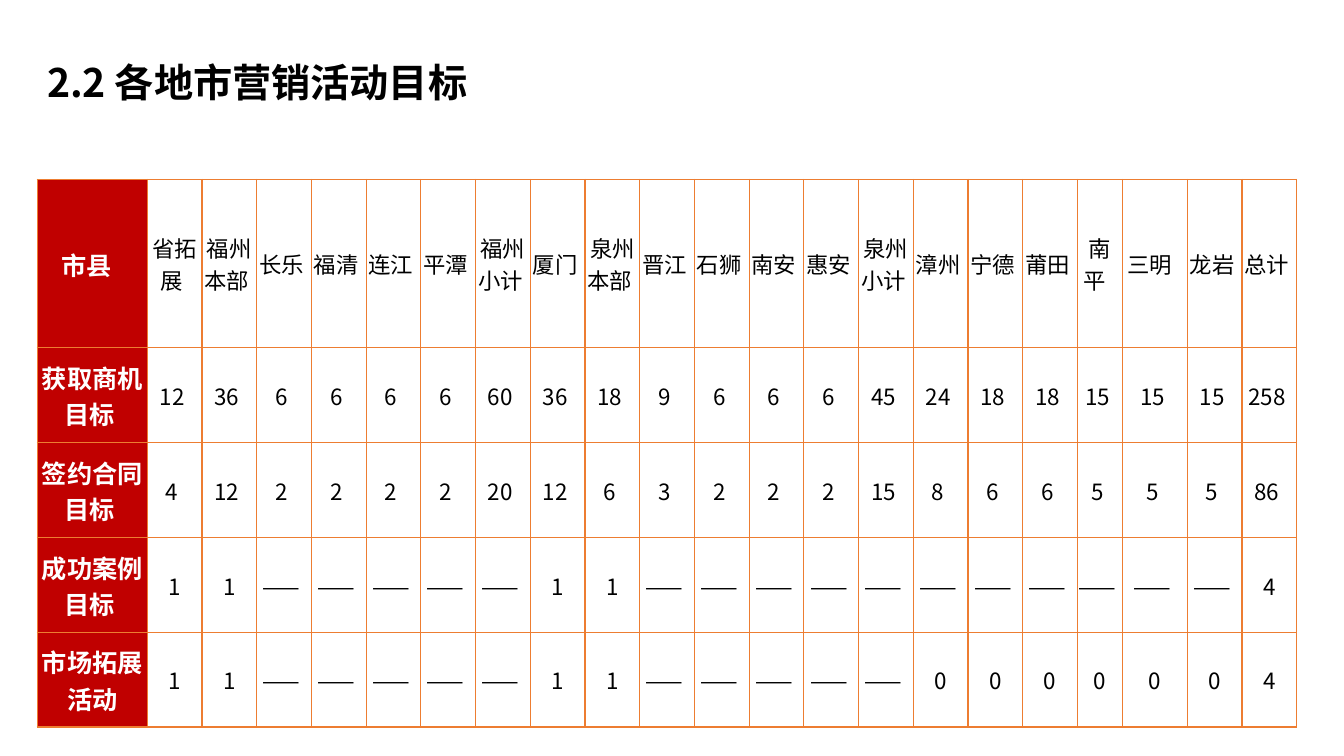
import pptx
import pptx.dml.color
import pptx.enum.text
import pptx.oxml
import pptx.oxml.ns
import pptx.util
from pptx.util import Cm

COLORS = {"label": "C00000", "border": "ED7D31", "light": "FFFFFF", "text": "000000"}
FONT = "Noto Sans CJK SC"
DASH = "——"

CITIES = ("省拓展 福州本部 长乐 福清 连江 平潭 福州小计 厦门 泉州本部 晋江 石狮 "
          "南安 惠安 泉州小计 漳州 宁德 莆田 南平 三明 龙岩 总计").split()
TARGETS = {
    "获取商机目标": [12, 36, 6, 6, 6, 6, 60, 36, 18, 9, 6, 6, 6, 45, 24, 18, 18, 15, 15, 15, 258],
    "签约合同目标": [4, 12, 2, 2, 2, 2, 20, 12, 6, 3, 2, 2, 2, 15, 8, 6, 6, 5, 5, 5, 86],
    "成功案例目标": [1, 1] + [DASH] * 5 + [1, 1] + [DASH] * 11 + [4],
    "市场拓展活动": [1, 1] + [DASH] * 5 + [1, 1] + [DASH] * 5 + [0] * 6 + [4],
}
LABEL_WIDTH, CITY_WIDTH = 2.77, 1.38
SPECIAL_WIDTHS = {"南平": 1.14, "三明": 1.63}
HEADER_HEIGHT, TARGET_HEIGHT = 4.24, 2.39


def rgb(name):
    return pptx.dml.color.RGBColor.from_string(COLORS[name])


def style_runs(paragraph, size, color, bold):
    for run in paragraph.runs:
        run.font.name = FONT
        run.font.size = pptx.util.Pt(size)
        run.font.bold = bold
        run.font.color.rgb = rgb(color)
        east_asian = pptx.oxml.parse_xml(
            f'<a:ea {pptx.oxml.ns.nsdecls("a")} typeface="{FONT}"/>')
        run.font._element.find(pptx.oxml.ns.qn("a:latin")).addnext(east_asian)


def add_borders(cell):
    properties = cell._tc.get_or_add_tcPr()
    for position, side in enumerate(("lnL", "lnR", "lnT", "lnB")):
        properties.insert(position, pptx.oxml.parse_xml(
            f'<a:{side} {pptx.oxml.ns.nsdecls("a")} w="12700"><a:solidFill>'
            f'<a:srgbClr val="{COLORS["border"]}"/></a:solidFill></a:{side}>'))


def fill_cell(cell, text, is_label):
    cell.text_frame.text = text
    cell.vertical_anchor = pptx.enum.text.MSO_ANCHOR.MIDDLE
    cell.margin_left = cell.margin_right = cell.margin_top = Cm(0.03)
    cell.margin_bottom = 0
    paragraph = cell.text_frame.paragraphs[0]
    paragraph.alignment = pptx.enum.text.PP_ALIGN.CENTER
    if is_label:
        cell.fill.solid()
        cell.fill.fore_color.rgb = rgb("label")
        style_runs(paragraph, 18, "light", True)
    else:
        cell.fill.background()
        style_runs(paragraph, 16, "text", False)
    add_borders(cell)


def target_rows():
    """Return all table texts, with the trailing spaces that offset centred text."""
    rows = [[f"{name} " if name == "省拓展" else f"{name}  " for name in ["市县"] + CITIES]]
    for label, values in TARGETS.items():
        numbers_padded = DASH not in values
        rows.append([label if label == "市场拓展活动" else f"{label} "] + [
            f"{value} " if numbers_padded or value == DASH else str(value)
            for value in values])
    return rows


def add_target_table(slide):
    rows = target_rows()
    widths = [LABEL_WIDTH] + [SPECIAL_WIDTHS.get(city, CITY_WIDTH) for city in CITIES]
    heights = [HEADER_HEIGHT] + [TARGET_HEIGHT] * len(TARGETS)
    targets = slide.shapes.add_table(len(rows), len(widths), Cm(0.94), Cm(4.52),
                                     Cm(sum(widths)), Cm(sum(heights))).table
    targets.first_row = targets.horz_banding = False
    for column, width in zip(targets.columns, widths):
        column.width = Cm(width)
    for row, height in zip(targets.rows, heights):
        row.height = Cm(height)
    for row_index, texts in enumerate(rows):
        for column_index, text in enumerate(texts):
            fill_cell(targets.cell(row_index, column_index), text, column_index == 0)


def add_title(slide, text):
    frame = slide.shapes.add_textbox(Cm(1.19), Cm(1.17), Cm(13.92), Cm(1.5)).text_frame
    frame.word_wrap = True
    frame.auto_size = pptx.enum.text.MSO_AUTO_SIZE.SHAPE_TO_FIT_TEXT
    frame.margin_left = frame.margin_right = frame.margin_top = frame.margin_bottom = 0
    frame.text = text
    frame.paragraphs[0].line_spacing = pptx.util.Pt(42.3)
    style_runs(frame.paragraphs[0], 28, "text", True)


def main():
    presentation = pptx.Presentation()
    presentation.slide_width, presentation.slide_height = Cm(33.87), Cm(19.05)
    slide = presentation.slides.add_slide(presentation.slide_layouts[6])
    add_target_table(slide)
    add_title(slide, "2.2 各地市营销活动目标")
    presentation.save("out.pptx")


if __name__ == "__main__":
    main()
